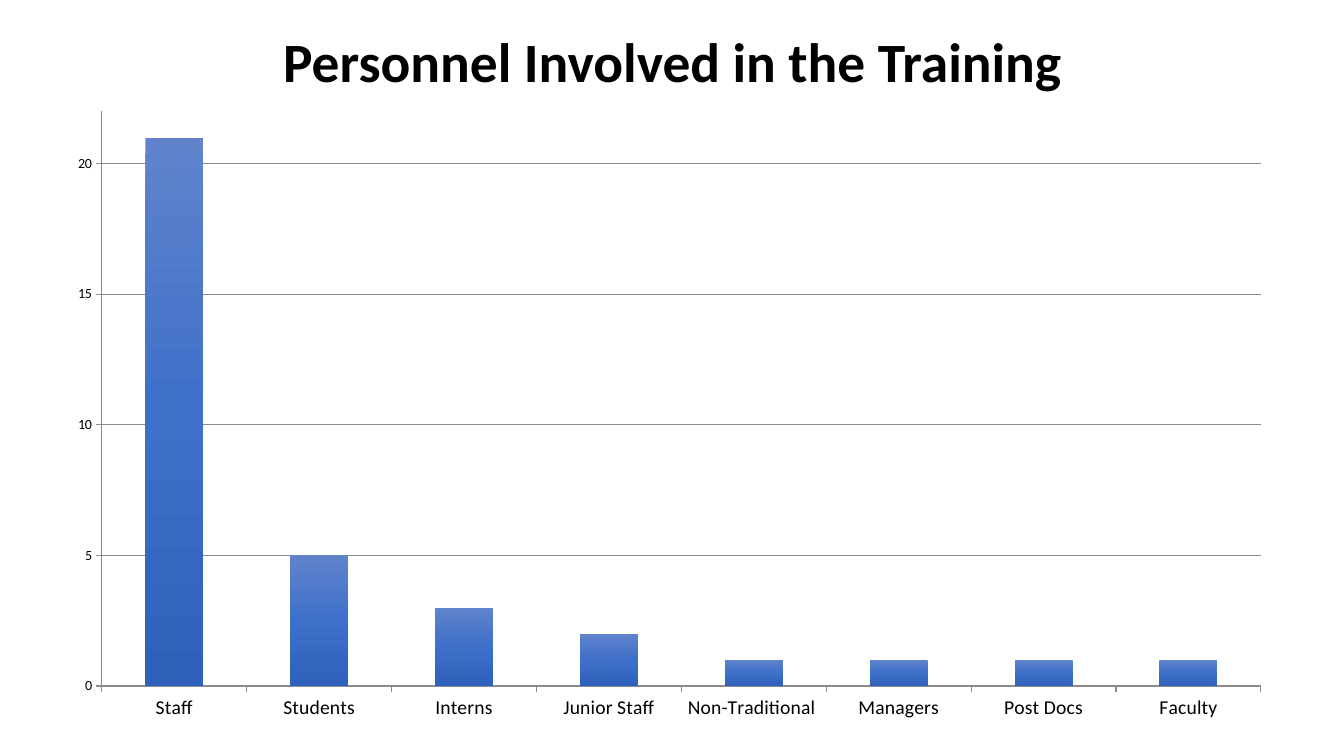
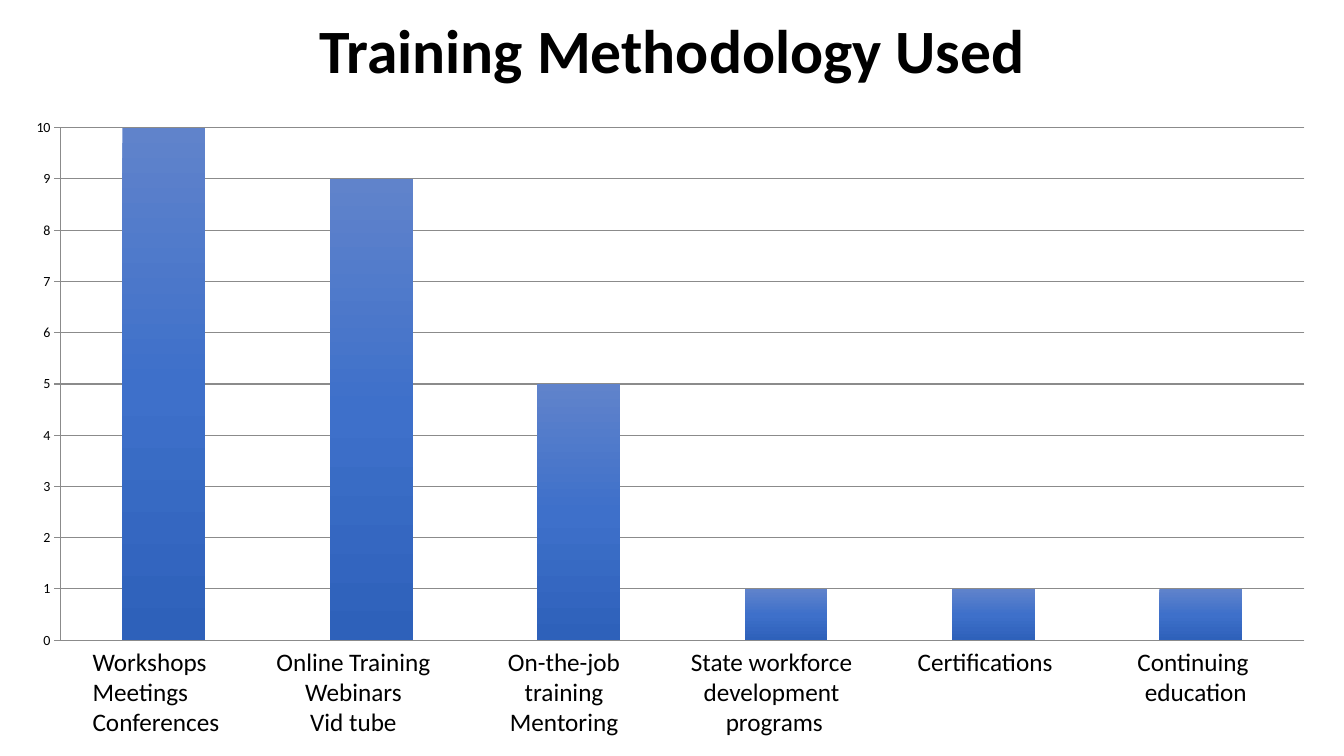
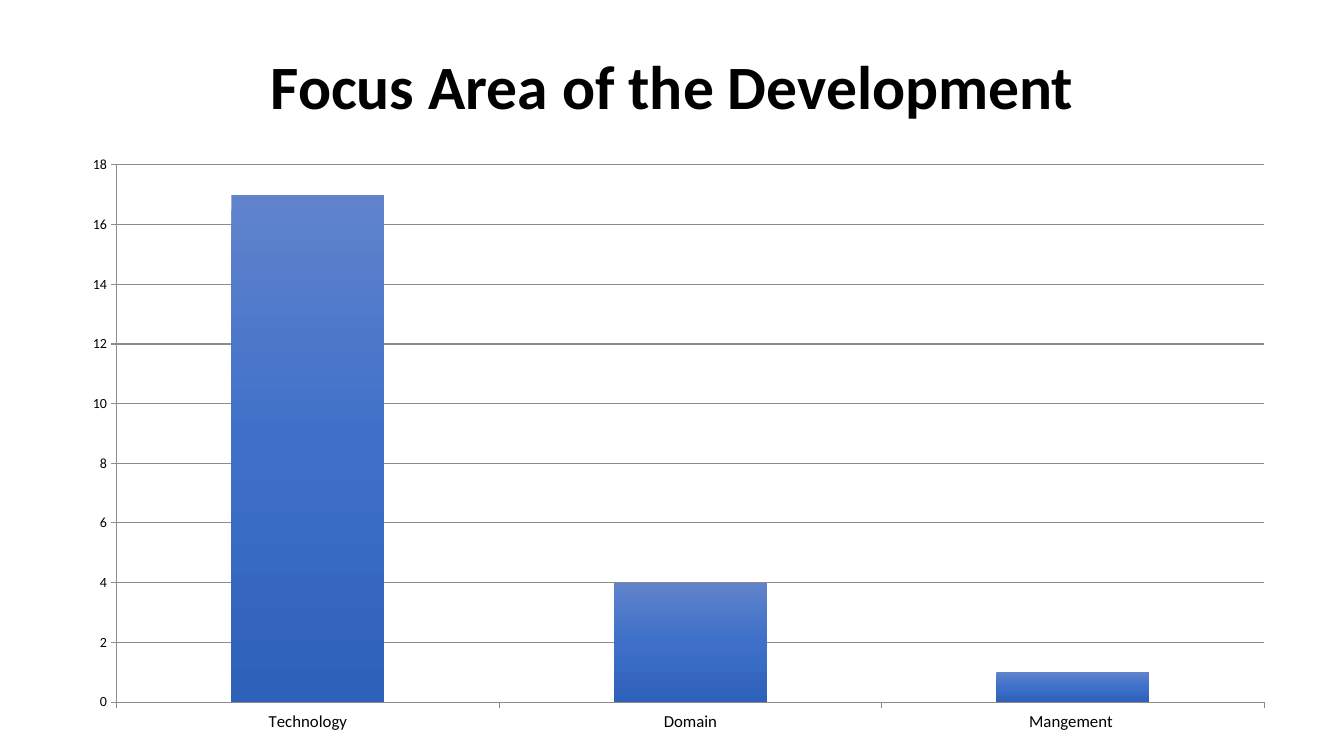
from dataclasses import dataclass
from typing import Any, Optional

from lxml.etree import SubElement
from pptx import Presentation
from pptx.chart.data import CategoryChartData
from pptx.dml.color import RGBColor
from pptx.enum.chart import XL_CHART_TYPE as ChartType, XL_TICK_MARK as TickMark
from pptx.enum.text import MSO_ANCHOR as Anchor, MSO_AUTO_SIZE as AutoSize, PP_ALIGN as Align
from pptx.oxml.ns import qn
from pptx.util import Inches, Pt

FONT = "Calibri"
COLORS = {
    "text": "000000",
    "grid": "8B8B8B",
    "bar_top": "6083CB",
    "bar_middle": "3E70CA",
    "bar_bottom": "2E61BA",
}
BAR_STOPS = {"bar_top": 0, "bar_middle": 50000, "bar_bottom": 100000}
LABEL_TOP = 6.36
TITLE_ONLY = 5

Box = tuple[float, float, float, float]


@dataclass(frozen=True)
class Label:
    """A category caption placed under a bar."""
    text: str
    left: float
    width: float
    height: float = 1.01
    align: Align = Align.CENTER


@dataclass(frozen=True)
class ChartSlide:
    """A title above a column chart, with optional captions."""
    title: str
    title_box: Box
    title_size: float
    chart_box: Box
    values: dict[str, int]
    maximum: int
    step: int
    category_size: Optional[float] = None
    labels: tuple[Label, ...] = ()


SLIDES = (
    ChartSlide(
        "Personnel Involved in the Training", (0.92, 0.3, 11.5, 0.68), 39.6,
        (0.53, 0.98, 12.22, 6.29),
        {"Staff": 21, "Students": 5, "Interns": 3, "Junior Staff": 2,
         "Non-Traditional ": 1, "Managers": 1, "Post Docs": 1, "Faculty": 1},
        maximum=22, step=5, category_size=14,
    ),
    ChartSlide(
        "Training Methodology Used", (0.92, 0.05, 11.5, 0.96), 44,
        (0.1, 1.08, 13.1, 5.46),
        {"1": 10, "2": 9, "3": 5, "4": 1, "5": 1, "6": 1},
        maximum=10, step=1,
        labels=(
            Label("Workshops\nMeetings\nConferences", 0.82, 1.47, align=Align.LEFT),
            Label("Online Training\nWebinars\nVid tube", 2.63, 1.75),
            Label("On-the-job\ntraining\nMentoring", 4.93, 1.33),
            Label("State workforce \ndevelopment \nprograms", 6.74, 1.88),
            Label("Certifications", 8.99, 1.56, 0.4),
            Label("Continuing \neducation", 11.17, 1.38, 0.71),
        ),
    ),
    ChartSlide(
        "Focus Area of the Development", (0.92, 0.4, 11.5, 0.97), 44,
        (0.68, 1.44, 12.1, 5.94),
        {"Technology": 17, "Domain": 4, "Mangement ": 1},
        maximum=18, step=2, category_size=12,
    ),
)


def apply_format(target: Any, **values: Any) -> None:
    """Set each named attribute on the target."""
    for name, value in values.items():
        setattr(target, name, value)


def format_font(font: Any, size: float, bold: bool = False) -> None:
    """Give a font the shared typeface and text colour."""
    apply_format(font, name=FONT, size=Pt(size), bold=bold)
    font.color.rgb = RGBColor.from_string(COLORS["text"])


def write_text(frame: Any, text: str, size: float, align: Align, bold: bool = False) -> Any:
    """Write one formatted paragraph and return it."""
    paragraph = frame.paragraphs[0]
    apply_format(paragraph, text=text, alignment=align)
    for run in paragraph.runs:
        format_font(run.font, size, bold)
    return paragraph


def set_title(slide: Any, content: ChartSlide) -> None:
    """Move and format the title placeholder."""
    title = slide.shapes.title
    left, top, width, height = map(Inches, content.title_box)
    apply_format(title, left=left, top=top, width=width, height=height)
    frame = title.text_frame
    apply_format(frame, word_wrap=True, auto_size=AutoSize.NONE, vertical_anchor=Anchor.MIDDLE)
    paragraph = write_text(frame, content.title, content.title_size, Align.CENTER, bold=True)
    paragraph.line_spacing = 0.9


def format_line(line: Any) -> None:
    """Draw a thin grey line."""
    line.width = Pt(0.75)
    line.color.rgb = RGBColor.from_string(COLORS["grid"])


def fill_bars(series: Any) -> None:
    """Shade the bars from top to bottom."""
    fill = series.format.fill
    fill.gradient()
    fill.gradient_angle = 270
    stops = series._element.find(".//" + qn("a:gsLst"))
    for stop in list(stops):
        stops.remove(stop)
    for name, position in BAR_STOPS.items():
        stop = SubElement(stops, qn("a:gs"), pos=str(position))
        SubElement(stop, qn("a:srgbClr"), val=COLORS[name])


def add_column_chart(slide: Any, content: ChartSlide) -> None:
    """Add the column chart with its axes."""
    data = CategoryChartData()
    data.categories = list(content.values)
    data.add_series("Series 1", list(content.values.values()))
    box = map(Inches, content.chart_box)
    chart = slide.shapes.add_chart(ChartType.COLUMN_CLUSTERED, *box, data).chart
    apply_format(chart, has_legend=False, has_title=False)
    format_font(chart.font, 10)

    plot = chart.plots[0]
    apply_format(plot, gap_width=150, vary_by_categories=False)
    fill_bars(plot.series[0])

    value_axis, category_axis = chart.value_axis, chart.category_axis
    for axis in (value_axis, category_axis):
        apply_format(axis, major_tick_mark=TickMark.OUTSIDE, minor_tick_mark=TickMark.NONE)
        format_line(axis.format.line)
    apply_format(value_axis, minimum_scale=0, maximum_scale=content.maximum,
                 major_unit=content.step, has_major_gridlines=True)
    format_line(value_axis.major_gridlines.format.line)
    if content.category_size is None:
        category_axis.visible = False
    else:
        format_font(category_axis.tick_labels.font, content.category_size)


def add_label(slide: Any, label: Label) -> None:
    """Add a caption under a bar."""
    box = map(Inches, (label.left, LABEL_TOP, label.width, label.height))
    frame = slide.shapes.add_textbox(*box).text_frame
    apply_format(frame, word_wrap=False, auto_size=AutoSize.SHAPE_TO_FIT_TEXT)
    write_text(frame, label.text, 18, label.align)


def build_presentation() -> Any:
    """Build every chart slide."""
    presentation = Presentation()
    apply_format(presentation, slide_width=Inches(13.33), slide_height=Inches(7.5))
    for content in SLIDES:
        slide = presentation.slides.add_slide(presentation.slide_layouts[TITLE_ONLY])
        set_title(slide, content)
        add_column_chart(slide, content)
        for label in content.labels:
            add_label(slide, label)
    return presentation


build_presentation().save("out.pptx")
